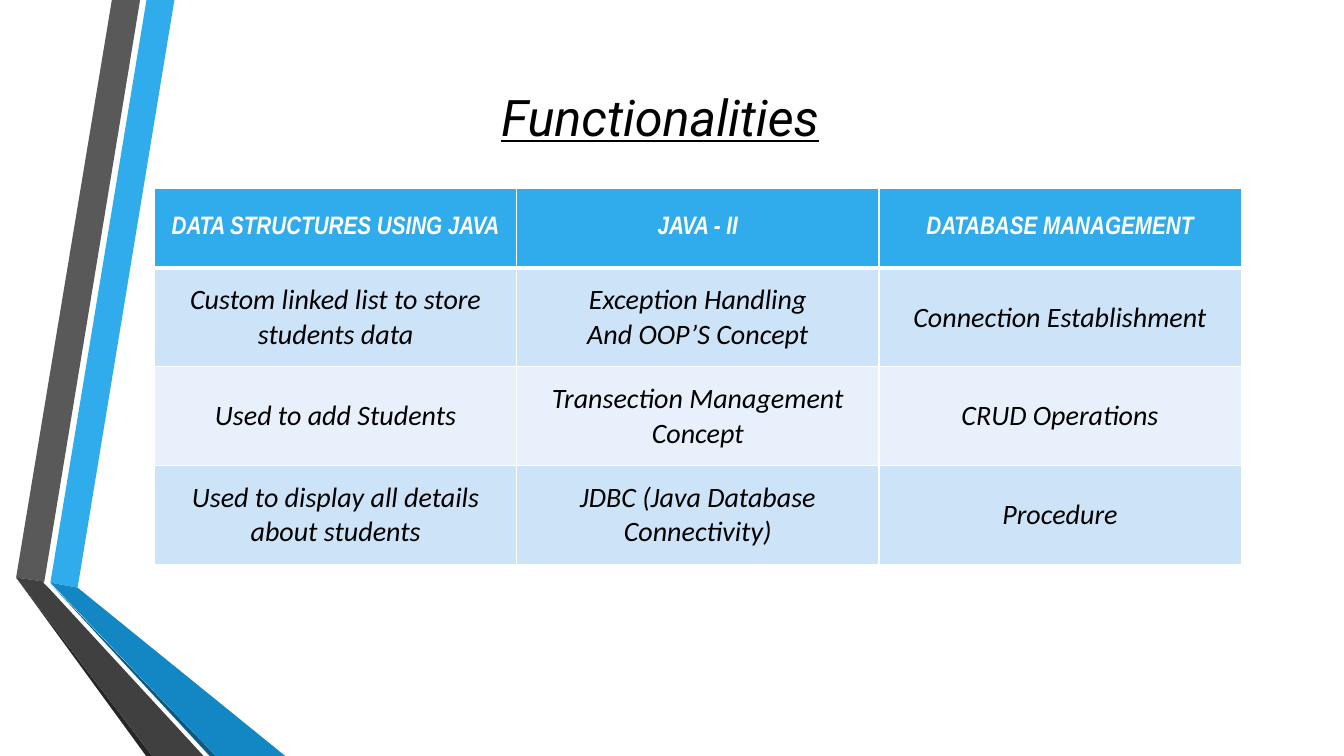
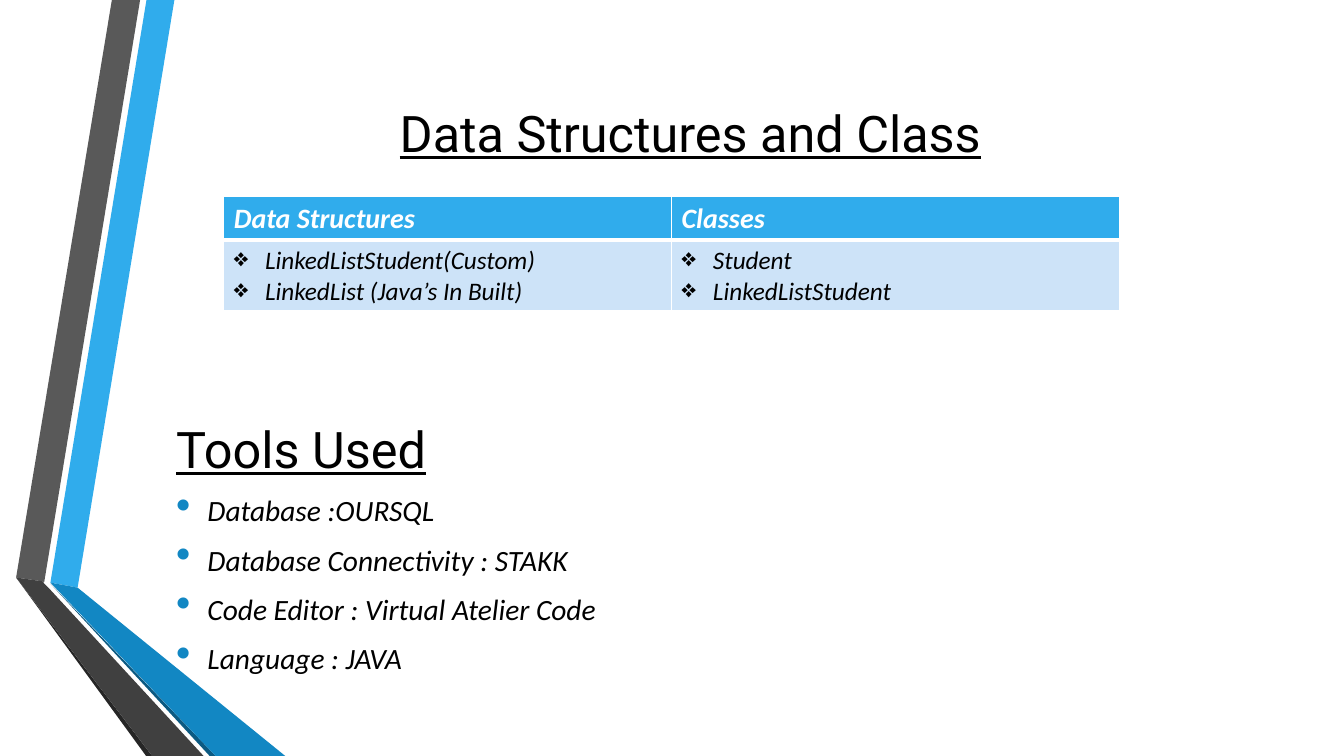
from dataclasses import dataclass

from lxml.etree import SubElement
from pptx import Presentation
from pptx.dml.color import RGBColor
from pptx.enum.text import MSO_ANCHOR, MSO_AUTO_SIZE, PP_ALIGN
from pptx.oxml.ns import qn
from pptx.util import Inches, Pt

SLIDE_WIDTH, SLIDE_HEIGHT = Inches(13.33), Inches(7.5)
GRID_COLUMNS, GRID_ROWS = 40, 30
TITLE_ONLY = 5


@dataclass(frozen=True)
class Theme:
    sky: str = "30ACEC"
    blue: str = "1287C3"
    navy: str = "0C5A82"
    gray: str = "595959"
    charcoal: str = "404040"
    soot: str = "262626"
    band_dark: str = "CDE3F8"
    band_light: str = "E8F1FB"
    ink: str = "000000"
    paper: str = "FFFFFF"
    title_font: str = "Roboto"
    body_font: str = "Calibri"
    narrow_font: str = "Arial Narrow"
    title_size: int = 36
    list_size: int = 21
    table_size: int = 20
    small_size: int = 18
    thin_line: int = 1
    thick_line: int = 3
    bullet_indent: float = 0.93


THEME = Theme()

RIBBONS = (
    (THEME.sky, [(1.5, 23.12), (2.31, 23.32), (5.19, 0), (4.36, 0)]),
    (THEME.gray, [(4.17, 0), (3.33, 0), (0.48, 22.92), (1.32, 23.08)]),
    (THEME.soot, [(0.48, 22.92), (4.35, 30), (4.53, 30)]),
    (THEME.navy, [(1.5, 23.16), (6.24, 30), (6.42, 30)]),
    (THEME.blue, [(1.5, 23.12), (6.42, 30), (8.49, 30), (2.31, 23.32)]),
    (THEME.charcoal, [(0.48, 22.92), (4.53, 30), (6.06, 30),
                      (1.44, 23.32), (1.29, 23.12), (1.32, 23.08)]),
)


def across(columns):
    return round(SLIDE_WIDTH * columns / GRID_COLUMNS)


def down(rows):
    return round(SLIDE_HEIGHT * rows / GRID_ROWS)


def place(left, top, width, height):
    return across(left), down(top), across(width), down(height)


def color(value):
    return RGBColor.from_string(value)


def style(paragraph, font_name, size, ink=THEME.ink, bold=False, italic=False, underline=False):
    font = paragraph.font
    font.name = font_name
    font.size = Pt(size)
    font.color.rgb = color(ink)
    font.bold = bold
    font.italic = italic
    font.underline = underline


def add_bullet(paragraph, character, ink=THEME.ink, percent=100):
    properties = paragraph._p.get_or_add_pPr()
    indent = across(THEME.bullet_indent)
    properties.set("marL", str(indent))
    properties.set("indent", str(-indent))
    bullet_color = SubElement(properties, qn("a:buClr"))
    SubElement(bullet_color, qn("a:srgbClr"), val=ink)
    SubElement(properties, qn("a:buSzPct"), val=str(percent * 1000))
    SubElement(properties, qn("a:buChar"), char=character)


def add_ribbon(slide, fill, points):
    corners = [(across(x), down(y)) for x, y in points]
    builder = slide.shapes.build_freeform(*corners[0])
    builder.add_line_segments(corners[1:], close=True)
    shape = builder.convert_to_shape()
    shape.shadow.inherit = False
    shape.fill.solid()
    shape.fill.fore_color.rgb = color(fill)
    shape.line.fill.background()


def add_titled_slide(presentation, text, box, italic=False):
    slide = presentation.slides.add_slide(presentation.slide_layouts[TITLE_ONLY])
    for fill, points in RIBBONS:
        add_ribbon(slide, fill, points)
    title = slide.shapes.title
    title.left, title.top, title.width, title.height = place(*box)
    frame = title.text_frame
    frame.text = text
    frame.auto_size = MSO_AUTO_SIZE.NONE
    frame.vertical_anchor = MSO_ANCHOR.MIDDLE
    paragraph = frame.paragraphs[0]
    paragraph.alignment = PP_ALIGN.CENTER
    style(paragraph, THEME.title_font, THEME.title_size, italic=italic, underline=True)
    return slide


def set_borders(cell, top, bottom):
    properties = cell._tc.get_or_add_tcPr()
    widths = {"L": THEME.thin_line, "R": THEME.thin_line, "T": top, "B": bottom}
    for side, width in widths.items():
        line = SubElement(properties, qn(f"a:ln{side}"), w=str(Pt(width)))
        fill = SubElement(line, qn("a:solidFill"))
        SubElement(fill, qn("a:srgbClr"), val=THEME.paper)


def fill_cell(cell, text, row, header_font, header_size, body_size, centered, bullet):
    is_header = row == 0
    set_borders(cell,
                THEME.thick_line if row == 1 else THEME.thin_line,
                THEME.thick_line if is_header else THEME.thin_line)
    band = THEME.band_dark if row % 2 else THEME.band_light
    cell.fill.solid()
    cell.fill.fore_color.rgb = color(THEME.sky if is_header else band)
    cell.vertical_anchor = MSO_ANCHOR.MIDDLE if centered else MSO_ANCHOR.TOP
    cell.text = text
    for paragraph in cell.text_frame.paragraphs:
        paragraph.alignment = PP_ALIGN.CENTER if centered else PP_ALIGN.LEFT
        if bullet and not is_header:
            add_bullet(paragraph, bullet)
        if is_header:
            style(paragraph, header_font, header_size, THEME.paper, bold=True, italic=True)
        else:
            style(paragraph, THEME.body_font, body_size, italic=True)


def add_banded_table(slide, left, top, column_width, row_heights, content, **cell_style):
    column_count = len(content[0])
    box = place(left, top, column_width * column_count, sum(row_heights))
    table = slide.shapes.add_table(len(content), column_count, *box).table
    for column in table.columns:
        column.width = across(column_width)
    for row, (texts, height) in enumerate(zip(content, row_heights)):
        table.rows[row].height = down(height)
        for column, text in enumerate(texts):
            fill_cell(table.cell(row, column), text, row, **cell_style)


def add_headed_list(slide, heading, items, box):
    frame = slide.shapes.add_textbox(*place(*box)).text_frame
    frame.word_wrap = True
    frame.vertical_anchor = MSO_ANCHOR.MIDDLE
    frame.text = "\n".join([heading, *items])
    for index, paragraph in enumerate(frame.paragraphs):
        size = THEME.list_size if index else THEME.title_size
        paragraph.space_before = Pt(round(size * 0.2))
        paragraph.space_after = Pt(6)
        if index:
            add_bullet(paragraph, "•", THEME.blue, 145)
            style(paragraph, THEME.body_font, size, italic=True)
        else:
            style(paragraph, THEME.title_font, size, underline=True)


def add_functionalities(presentation):
    slide = add_titled_slide(presentation, "Functionalities", (3.21, 3.28, 32.88, 2.64), italic=True)
    content = (
        ("DATA STRUCTURES USING JAVA", "JAVA - II", "DATABASE MANAGEMENT"),
        ("Custom linked list to store students data",
         "Exception Handling\nAnd OOP’S Concept", "Connection Establishment"),
        ("Used to add Students", "Transection Management Concept", "CRUD Operations"),
        ("Used to display all details about students",
         "JDBC (Java Database Connectivity)", "Procedure"),
    )
    add_banded_table(slide, 4.6, 7.48, 10.78, (3.16, 3.92, 3.92, 3.92), content,
                     header_font=THEME.narrow_font, header_size=THEME.small_size,
                     body_size=THEME.table_size, centered=True, bullet=None)


def add_structures_and_tools(presentation):
    slide = add_titled_slide(presentation, "Data Structures and Class", (4.11, 3.36, 32.88, 3.76))
    content = (
        ("Data Structures", "Classes"),
        ("LinkedListStudent(Custom)\nLinkedList (Java’s In Built)", "Student\nLinkedListStudent"),
    )
    add_headed_list(slide, "Tools Used",
                    ("Database :OURSQL", "Database Connectivity : STAKK",
                     "Code Editor : Virtual Atelier Code", "Language : JAVA"),
                    (4.95, 16.36, 17.97, 10.68))
    add_banded_table(slide, 6.66, 7.8, 13.33, (1.72, 2.8), content,
                     header_font=THEME.body_font, header_size=THEME.table_size,
                     body_size=THEME.small_size, centered=False, bullet="❖")


def main():
    presentation = Presentation()
    presentation.slide_width, presentation.slide_height = SLIDE_WIDTH, SLIDE_HEIGHT
    add_functionalities(presentation)
    add_structures_and_tools(presentation)
    presentation.save("out.pptx")


if __name__ == "__main__":
    main()
